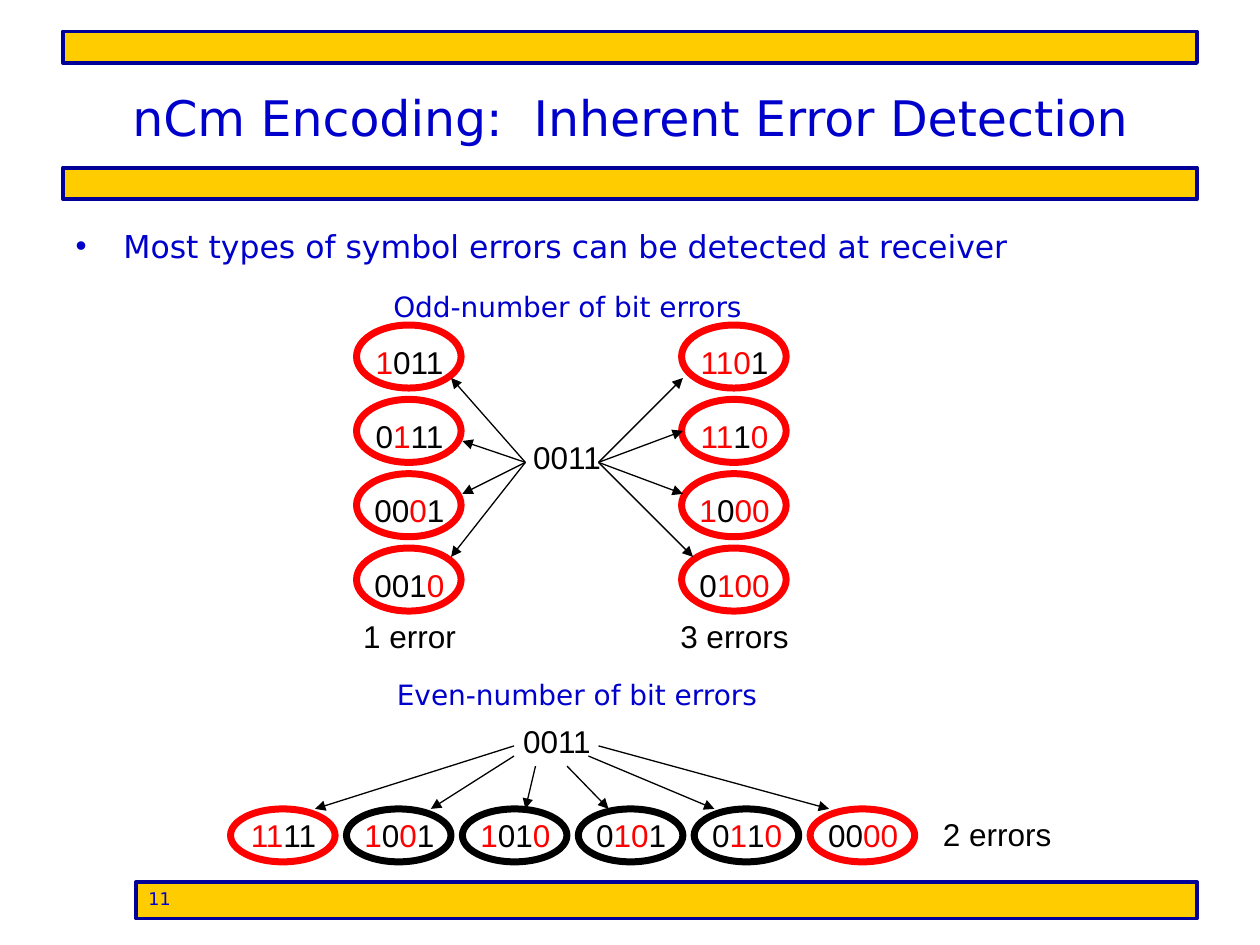
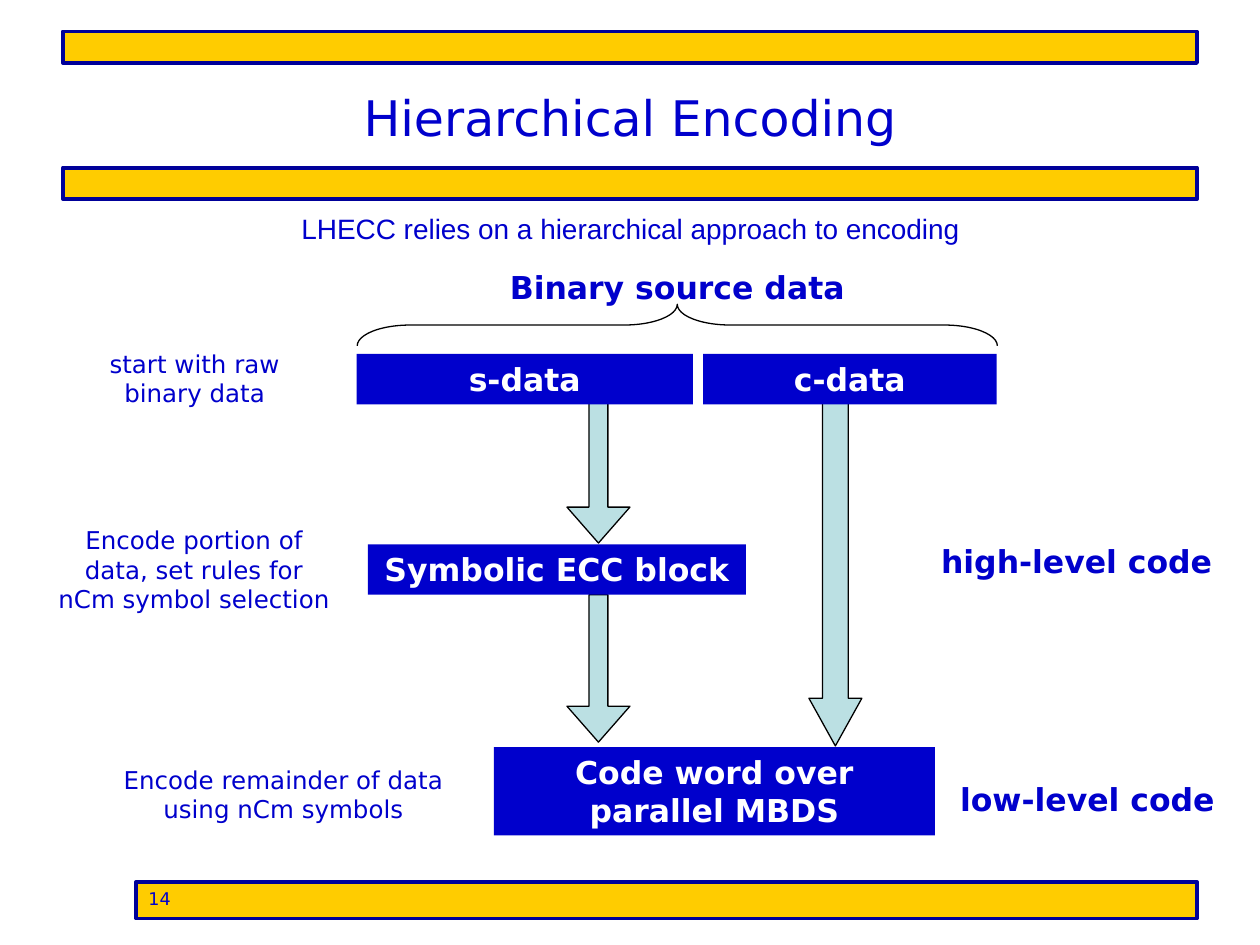
from dataclasses import dataclass
from itertools import groupby

from lxml import etree
from pptx import Presentation
from pptx.dml.color import RGBColor
from pptx.enum import shapes, text
from pptx.oxml import ns
from pptx.slide import Slide
from pptx.util import Inches, Pt

BLUE = RGBColor(0x00, 0x00, 0xCC)
NAVY = RGBColor(0x00, 0x00, 0x99)
GOLD = RGBColor(0xFF, 0xCC, 0x00)
TEAL = RGBColor(0xBB, 0xE0, 0xE3)
RED = RGBColor(0xFF, 0x00, 0x00)
BLACK = RGBColor(0x00, 0x00, 0x00)
WHITE = RGBColor(0xFF, 0xFF, 0xFF)

SANS, ARIAL = "DejaVu Sans", "Arial"
CENTER, LEFT = text.PP_ALIGN.CENTER, text.PP_ALIGN.LEFT
Kind = shapes.MSO_SHAPE

TITLE = {"name": SANS, "size": Pt(28), "color": BLUE}
BULLET = {"name": SANS, "size": Pt(18), "color": BLUE}
HEADING = {"name": SANS, "size": Pt(16), "color": BLUE}
LEAD = {"name": ARIAL, "size": Pt(16), "color": BLUE}
DIGITS = {"name": ARIAL, "size": Pt(18), "color": BLACK}
NOTE = {"name": SANS, "size": Pt(14), "color": BLUE}
STRONG = {"name": SANS, "size": Pt(18), "color": BLUE, "bold": True}
BLOCK = {**STRONG, "color": WHITE}
PAGE = {"name": SANS, "size": Pt(10), "color": BLUE}

SYMBOL = "0011"


def apply_format(font, style):
    for name, value in style.items():
        if name == "color":
            font.color.rgb = value
        else:
            setattr(font, name, value)


def write(frame, runs, style, align=CENTER, anchor=text.MSO_ANCHOR.TOP):
    """Fill a frame with one paragraph of (words, colour) runs."""
    frame.word_wrap = True
    frame.auto_size = text.MSO_AUTO_SIZE.NONE
    frame.vertical_anchor = anchor
    paragraph = frame.paragraphs[0]
    paragraph.alignment = align
    paragraph.space_before = Pt(0)
    for words, color in runs:
        run = paragraph.add_run()
        run.text = words
        apply_format(run.font, {**style, "color": color})
    return paragraph


def place(shape, left, top, width, height):
    box = {"left": left, "top": top, "width": width, "height": height}
    for name, value in box.items():
        setattr(shape, name, Inches(value))


@dataclass
class Region:
    """Part of a slide; lengths given to it are inches from its corner."""
    slide: Slide
    left: float = 0
    top: float = 0

    def corner(self, x, y):
        return Inches(self.left + x), Inches(self.top + y)

    def add_runs(self, runs, style, x, y, width, height):
        box = self.slide.shapes.add_textbox(
            *self.corner(x, y), Inches(width), Inches(height))
        write(box.text_frame, runs, style)

    def add_text(self, words, style, x, y, width, height=0.4):
        self.add_runs([(words, style["color"])], style, x, y, width, height)

    def add_shape(self, kind, x, y, width, height,
                  fill=None, line=None, weight=0.75):
        shape = self.slide.shapes.add_shape(
            kind, *self.corner(x, y), Inches(width), Inches(height))
        shape.shadow.inherit = False
        if fill is None:
            shape.fill.background()
        else:
            shape.fill.solid()
            shape.fill.fore_color.rgb = fill
        if line is None:
            shape.line.fill.background()
        else:
            shape.line.color.rgb = line
            shape.line.width = Pt(weight)
        return shape

    def add_arrow(self, start, end):
        arrow = self.slide.shapes.add_connector(
            shapes.MSO_CONNECTOR.STRAIGHT,
            *self.corner(*start), *self.corner(*end))
        arrow.line.color.rgb = BLACK
        arrow.line.width = Pt(0.75)
        etree.SubElement(arrow.line._get_or_add_ln(), ns.qn("a:tailEnd"),
                         type="triangle")
        etree.SubElement(arrow.element.spPr, ns.qn("a:effectLst"))

    def add_code(self, code, x, y, height, drop):
        """Ringed code: changed bits are red, as is the ring if detectable."""
        changed = groupby(zip(code, SYMBOL), key=lambda pair: pair[0] != pair[1])
        runs = [("".join(bit for bit, _ in pairs), RED if differs else BLACK)
                for differs, pairs in changed]
        self.add_runs(runs, DIGITS, x - 0.08, y + drop, 1, 0.4)
        detected = code.count("1") != SYMBOL.count("1")
        self.add_shape(Kind.OVAL, x, y, 0.83, height,
                       line=RED if detected else BLACK, weight=4)


# Shared parts
def add_band(slide, left, top, width, height):
    return Region(slide).add_shape(Kind.RECTANGLE, left, top, width, height,
                                   GOLD, NAVY, 2.25)


def add_master_bands(presentation, slide):
    tree = presentation.slide_master.shapes.element
    for top in (0.25, 1.33):
        tree.insert(2, add_band(slide, 0.5, top, 9, 0.25).element)


def add_title(slide, words):
    place(slide.shapes.title, 0.5, 0.3, 9, 1.25)
    write(slide.shapes.title.text_frame, [(words, BLUE)], TITLE,
          anchor=text.MSO_ANCHOR.MIDDLE)


def add_page_band(slide, number):
    band = add_band(slide, 1.08, 7, 8.42, 0.29)
    write(band.text_frame, [(number, BLUE)], PAGE, LEFT)


def add_bullet(placeholder, words):
    place(placeholder, 0.5, 1.75, 9, 0.42)
    paragraph = write(placeholder.text_frame, [(words, BLUE)], BULLET, LEFT)
    properties = paragraph._p.get_or_add_pPr()
    properties.set("marL", str(Inches(0.38)))
    properties.set("indent", str(-Inches(0.38)))
    color = etree.SubElement(properties, ns.qn("a:buClr"))
    etree.SubElement(color, ns.qn("a:srgbClr"), val=str(BLUE))
    etree.SubElement(properties, ns.qn("a:buChar"), char="•")


# Error detection slide
def add_odd_errors(region):
    region.add_text("Odd-number of bit errors", HEADING, 0.17, 0, 3.67, 0.42)
    region.add_text(SYMBOL, DIGITS, 1.5, 1.18, 1)
    columns = [
        (0, "1 error", ("1011", "0111", "0001", "0010"), (1.67, 1.42),
         ((1.08, 0.75), (1.17, 1.25), (1.17, 1.67), (1.08, 2.17))),
        (2.58, "3 errors", ("1101", "1110", "1000", "0100"), (2.25, 1.42),
         ((2.92, 0.75), (2.92, 1.17), (2.92, 1.67), (3, 2.17))),
    ]
    for x, caption, codes, start, ends in columns:
        for row, (code, end) in enumerate(zip(codes, ends)):
            region.add_code(code, x + 0.33, 0.33 + 0.59 * row, 0.5, 0.09)
            region.add_arrow(start, end)
        region.add_text(caption, DIGITS, x, 2.6, 1.5)


def add_even_errors(region):
    region.add_text("Even-number of bit errors", HEADING, 0.83, 0, 4, 0.5)
    region.add_text(SYMBOL, DIGITS, 2.17, 0.35, 1)
    row_top = 1.09
    fan = [
        ("1111", (2.33, 0.59), 0.75),
        ("1001", (2.33, 0.67), 1.67),
        ("1010", (2.5, 0.75), 2.42),
        ("0101", (2.75, 0.75), 3.08),
        ("0110", (2.92, 0.67), 3.92),
        ("0000", (3, 0.59), 4.83),
    ]
    for column, (code, start, end_x) in enumerate(fan):
        region.add_code(code, 0.08 + 0.92 * column, row_top, 0.42, 0.01)
        region.add_arrow(start, (end_x, row_top))
    region.add_text("2 errors", DIGITS, 5.58, row_top, 1.17)


def build_detection_slide(slide):
    add_title(slide, "nCm Encoding:  Inherent Error Detection")
    add_bullet(slide.placeholders[1],
               "Most types of symbol errors can be detected at receiver")
    add_odd_errors(Region(slide, 2.5, 2.25))
    add_even_errors(Region(slide, 1.75, 5.33))
    add_page_band(slide, "11")


# Hierarchy slide
def add_encoding_flow(region):
    # Down arrows: box, shaft share, head length
    arrows = [
        ((3.59, 1.09, 0.42, 2.75), 0.49, 0.9),
        ((1.67, 1.06, 0.5, 1.17), 0.3, 0.57),
        ((1.67, 2.64, 0.5, 1.17), 0.3, 0.57),
    ]
    for box, shaft, head in arrows:
        arrow = region.add_shape(Kind.DOWN_ARROW, *box, TEAL, BLACK)
        arrow.adjustments[0] = shaft
        arrow.adjustments[1] = head

    blocks = [
        ("s-data", 0, 0.73, 2.67, 0.4),
        ("c-data", 2.75, 0.73, 2.33, 0.4),
        ("Symbolic ECC block", 0.09, 2.24, 3, 0.4),
        ("Code word over parallel MBDS", 1.09, 3.85, 3.5, 0.7),
    ]
    for words, *box in blocks:
        block = region.add_shape(Kind.RECTANGLE, *box, fill=BLUE)
        write(block.text_frame, [(words, WHITE)], BLOCK)

    # Brace over both kinds of source data
    region.add_text("Binary source data", STRONG, 0.17, 0, 4.75)
    brace = region.add_shape(Kind.LEFT_BRACE, 2.38, -2.04, 0.33, 5.08, line=BLACK)
    brace.adjustments[0] = 1.28
    brace.rotation = 90


def add_side_labels(region):
    labels = [
        ("start with raw binary data", NOTE, 0.34, 0, 1.75, 0.57),
        ("Encode portion of data, set rules for nCm symbol selection",
         NOTE, 0, 1.4, 2.42, 0.8),
        ("Encode remainder of data using nCm symbols",
         NOTE, 0.42, 3.3, 3, 0.57),
        ("high-level code", STRONG, 6.84, 1.53, 2.75),
        ("low-level code", STRONG, 7.09, 3.42, 2.42),
    ]
    for label in labels:
        region.add_text(*label)


def build_hierarchy_slide(slide):
    add_title(slide, "Hierarchical Encoding")
    Region(slide).add_text("LHECC relies on a hierarchical approach to encoding",
                           LEAD, 1.17, 1.63, 7.67, 0.37)
    add_encoding_flow(Region(slide, 2.83, 2.08))
    add_side_labels(Region(slide, 0.33, 2.72))
    add_page_band(slide, "14")


def main():
    presentation = Presentation()
    presentation.slide_width = Inches(10)
    presentation.slide_height = Inches(7.5)
    layouts = presentation.slide_layouts
    detection = presentation.slides.add_slide(layouts[1])
    add_master_bands(presentation, detection)
    build_detection_slide(detection)
    build_hierarchy_slide(presentation.slides.add_slide(layouts[5]))
    presentation.save("out.pptx")


if __name__ == "__main__":
    main()
